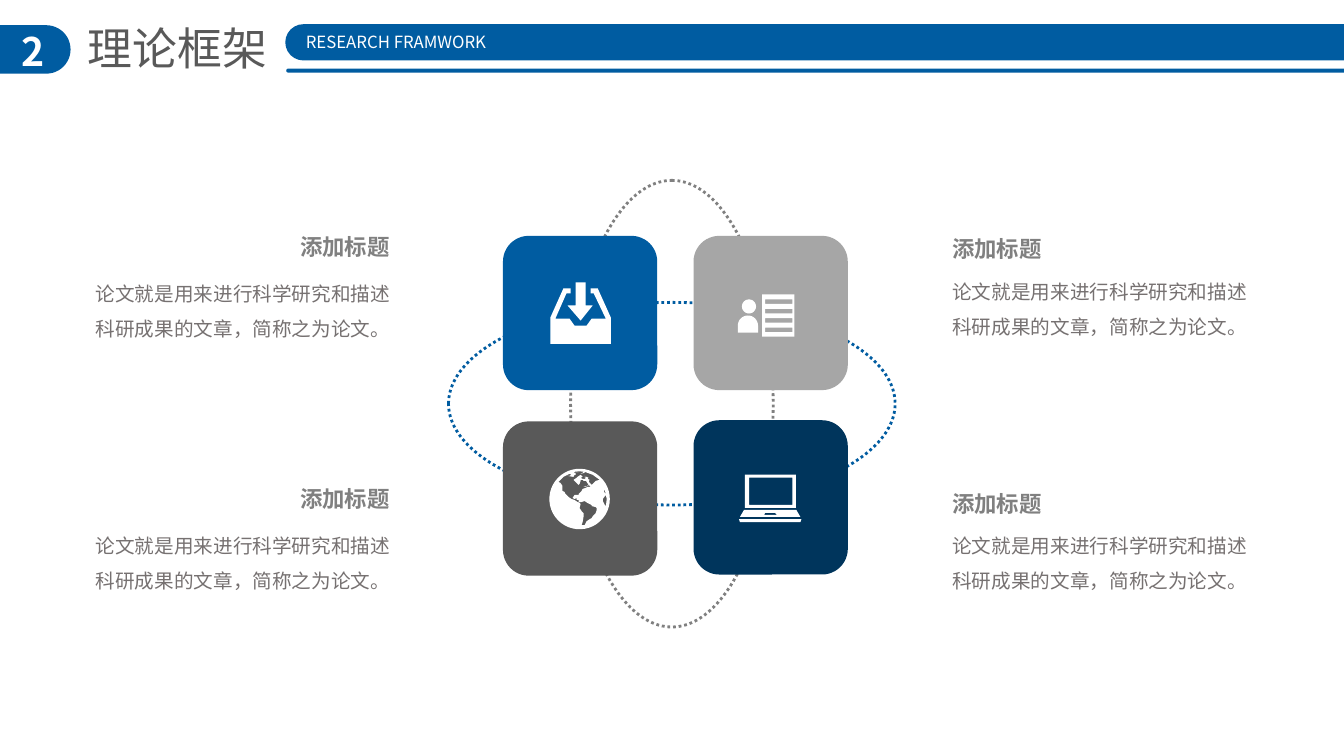
import math
from dataclasses import dataclass

import lxml.etree
import pptx
import pptx.dml.color
import pptx.enum.dml
import pptx.enum.shapes
import pptx.enum.text
import pptx.oxml.ns
import pptx.util

Pt = pptx.util.Pt
SHAPES = pptx.enum.shapes.MSO_SHAPE
ALIGN = pptx.enum.text.PP_ALIGN
ICON_UNIT = 0.72


@dataclass(frozen=True)
class Theme:
    font: str = "Noto Sans CJK SC"
    blue: str = "005CA1"
    navy: str = "00355C"
    silver: str = "A6A6A6"
    gray: str = "808080"
    charcoal: str = "595959"
    body_gray: str = "767171"
    white: str = "FFFFFF"
    title_size: int = 32
    number_size: int = 28
    heading_size: int = 16
    body_size: int = 14
    caption_size: int = 12


def rgb(color):
    return pptx.dml.color.RGBColor.from_string(color)


def write_text(frame, text, *, font, size, color, bold=False, align=ALIGN.LEFT,
               spacing=1.0, wrap=False):
    frame.word_wrap = wrap
    frame.auto_size = pptx.enum.text.MSO_AUTO_SIZE.SHAPE_TO_FIT_TEXT
    frame.vertical_anchor = pptx.enum.text.MSO_ANCHOR.TOP
    frame.margin_left = frame.margin_right = Pt(7.2)
    frame.margin_top = frame.margin_bottom = Pt(3.6)
    paragraph = frame.paragraphs[0]
    paragraph.alignment = align
    paragraph.line_spacing = spacing
    paragraph.space_before = Pt(0)
    run = paragraph.add_run()
    run.text = text
    run.font.size = Pt(size)
    run.font.bold = bold
    run.font.color.rgb = rgb(color)
    run.font.name = font
    east_asian = lxml.etree.SubElement(run.font._element, pptx.oxml.ns.qn("a:ea"))
    east_asian.set("typeface", font)


class SlideBuilder:
    def __init__(self, slide, theme):
        self.slide = slide
        self.theme = theme

    def title(self, text, box, **style):
        heading = self.slide.shapes.title
        heading.left, heading.top, heading.width, heading.height = map(Pt, box)
        write_text(heading.text_frame, text, font=self.theme.font, **style)

    def text(self, text, box, **style):
        label = self.slide.shapes.add_textbox(*map(Pt, box))
        write_text(label.text_frame, text, font=self.theme.font, **style)

    def block(self, kind, box, color, rounding=None):
        block = self.slide.shapes.add_shape(kind, *map(Pt, box))
        if rounding is not None:
            block.adjustments[0] = rounding
        self.paint(block, color)

    def orbit(self, box, color, rotation):
        orbit = self.slide.shapes.add_shape(SHAPES.OVAL, *map(Pt, box))
        orbit.shadow.inherit = False
        orbit.rotation = rotation
        orbit.fill.background()
        orbit.line.color.rgb = rgb(color)
        orbit.line.width = Pt(2)
        orbit.line.dash_style = pptx.enum.dml.MSO_LINE.ROUND_DOT

    def icon(self, origin, contours, color):
        scaled = [[(Pt(x * ICON_UNIT), Pt(y * ICON_UNIT)) for x, y in contour]
                  for contour in contours]
        builder = self.slide.shapes.build_freeform(*scaled[0][0])
        for index, contour in enumerate(scaled):
            if index:
                builder.move_to(*contour[0])
            builder.add_line_segments(contour[1:], close=True)
        self.paint(builder.convert_to_shape(*map(Pt, origin)), color)

    def paint(self, shape, color):
        shape.shadow.inherit = False
        shape.fill.solid()
        shape.fill.fore_color.rgb = rgb(color)
        shape.line.fill.background()


def arc(center_x, center_y, radius, start, end, steps):
    angles = [math.radians(start + (end - start) * i / steps) for i in range(steps + 1)]
    return [(center_x + radius * math.cos(a), center_y + radius * math.sin(a)) for a in angles]


def rectangle(left, top, right, bottom):
    return [(left, top), (right, top), (right, bottom), (left, bottom)]


DOWN_ARROW = [(82, 69), (82, 46), (72, 46), (72, 69), (64, 69), (77, 84), (89, 69)]
TRAY = [(94, 52), (87, 52), (87, 57), (90, 57), (102, 82), (88, 82), (83, 89), (71, 89),
        (66, 82), (52, 82), (63, 57), (67, 57), (67, 52), (60, 52), (47, 81), (47, 107),
        (107, 107), (107, 81)]
CARD = [rectangle(68, 58, 100, 100)] + [
    rectangle(71, 63 + 9.3 * row, 98, 67.5 + 9.3 * row) for row in range(4)]
SHOULDERS = [(44, 96)] + arc(54, 89, 10, 180, 360, 16) + [(64, 96)]
LAPTOP = [
    [(102, 89), (50, 89), (46, 96), (106, 96)],
    [(70, 94), (71, 92), (81, 92), (83, 94)],
    rectangle(51, 54, 101.5, 87),
    rectangle(55, 57, 98, 84),
    [(45, 98), (46, 101), (106, 101), (107, 98)],
]
AMERICAS = [
    (96, 58), (92, 59), (91, 60), (88, 63), (86, 61), (85, 59), (86, 58), (84, 57),
    (85, 56), (81, 54), (83, 55), (82, 56), (81, 55), (82, 57), (79, 57), (77, 56),
    (79, 55), (77, 53), (74, 55), (73, 56), (70, 58), (73, 61), (75, 63), (76, 62),
    (77, 59), (77, 58), (79, 58), (80, 59), (82, 59), (83, 60), (85, 63), (84, 64),
    (80, 65), (82, 64), (82, 65), (85, 63), (87, 65), (84, 65), (82, 66), (79, 67),
    (78, 69), (76, 71), (75, 72), (76, 74), (75, 73), (71, 73), (69, 76), (71, 77),
    (73, 76), (73, 78), (75, 78), (75, 80), (78, 80), (81, 79), (84, 81), (86, 82),
    (88, 83), (88, 84), (92, 85), (93, 86), (93, 88), (92, 91), (90, 93), (89, 94),
    (88, 96), (86, 97), (83, 99), (82, 101), (81, 103), (78, 103), (79, 100), (80, 94),
    (80, 91), (78, 89), (76, 86), (77, 82), (76, 81), (74, 80), (71, 78), (68, 77),
    (65, 75), (62, 72), (61, 70), (59, 69), (59, 64), (57, 61), (55, 60), (60, 55),
    (66, 52), (68, 53), (66, 54), (64, 54), (69, 55), (69, 54), (70, 55), (71, 53),
    (72, 53), (72, 51), (75, 51), (71, 51), (70, 52), (71, 50), (76, 49.5), (80, 50),
    (79, 51), (77, 52), (81, 51), (81, 50), (89, 53),
]
GLOBE = [
    arc(76, 77, 30, 0, 352, 44),
    AMERICAS,
    [(100, 69), (101, 68), (102, 72), (101, 71)],
    [(101, 83), (99, 79), (99, 77), (102, 73), (103, 77), (102, 84)],
]


def main():
    presentation = pptx.Presentation()
    presentation.slide_width, presentation.slide_height = Pt(960), Pt(540)
    theme = Theme()
    page = SlideBuilder(presentation.slides.add_slide(presentation.slide_layouts[5]), theme)

    for color, rotation in ((theme.blue, 0), (theme.gray, 90)):
        page.orbit((320.4, 216, 319, 144.7), color, rotation)

    heading = "添加标题"
    summary = "论文就是用来进行科学研究和描述科研成果的文章，简称之为论文。"
    for heading_left, heading_top, summary_left, summary_top in (
            (207.4, 162.7, 61.2, 189.4), (207.4, 342.7, 61.2, 369.4),
            (673.2, 164.2, 673.2, 187.9), (673.2, 346.3, 673.2, 369.4)):
        page.text(heading, (heading_left, heading_top, 79.2, 26.6),
                  size=theme.heading_size, color=theme.gray, bold=True)
        page.text(summary, (summary_left, summary_top, 225.4, 58.3),
                  size=theme.body_size, color=theme.body_gray, spacing=1.5, wrap=True)

    for bar in ((-20.2, 18, 70.6, 34.6), (203.8, 17.3, 794.2, 25.9), (204.5, 49, 794.2, 2.9)):
        page.block(SHAPES.ROUNDED_RECTANGLE, bar, theme.blue, rounding=0.5)
    page.text("2", (5, 15.8, 36.7, 41), size=theme.number_size, color=theme.white,
              bold=True, align=ALIGN.CENTER, wrap=True)
    page.title("理论框架", (55.4, 11.5, 144, 46.1), size=theme.title_size, color=theme.charcoal)
    page.text("RESEARCH FRAMWORK", (206.6, 19.4, 152.6, 21.6), size=theme.caption_size,
              color=theme.white, align=ALIGN.CENTER)

    for left, top, color, icons in (
            (359.3, 168.5, theme.blue, ([DOWN_ARROW], [TRAY])),
            (495.4, 168.5, theme.silver, (CARD, [SHOULDERS], [arc(55, 70, 7, 0, 345, 23)])),
            (359.3, 301, theme.charcoal, (GLOBE,)),
            (495.4, 300.2, theme.navy, (LAPTOP,))):
        page.block(SHAPES.ROUNDED_RECTANGLE, (left, top, 110.2, 110.2), color)
        for contours in icons:
            page.icon((left, top), contours, theme.white)

    presentation.save("out.pptx")


if __name__ == "__main__":
    main()
